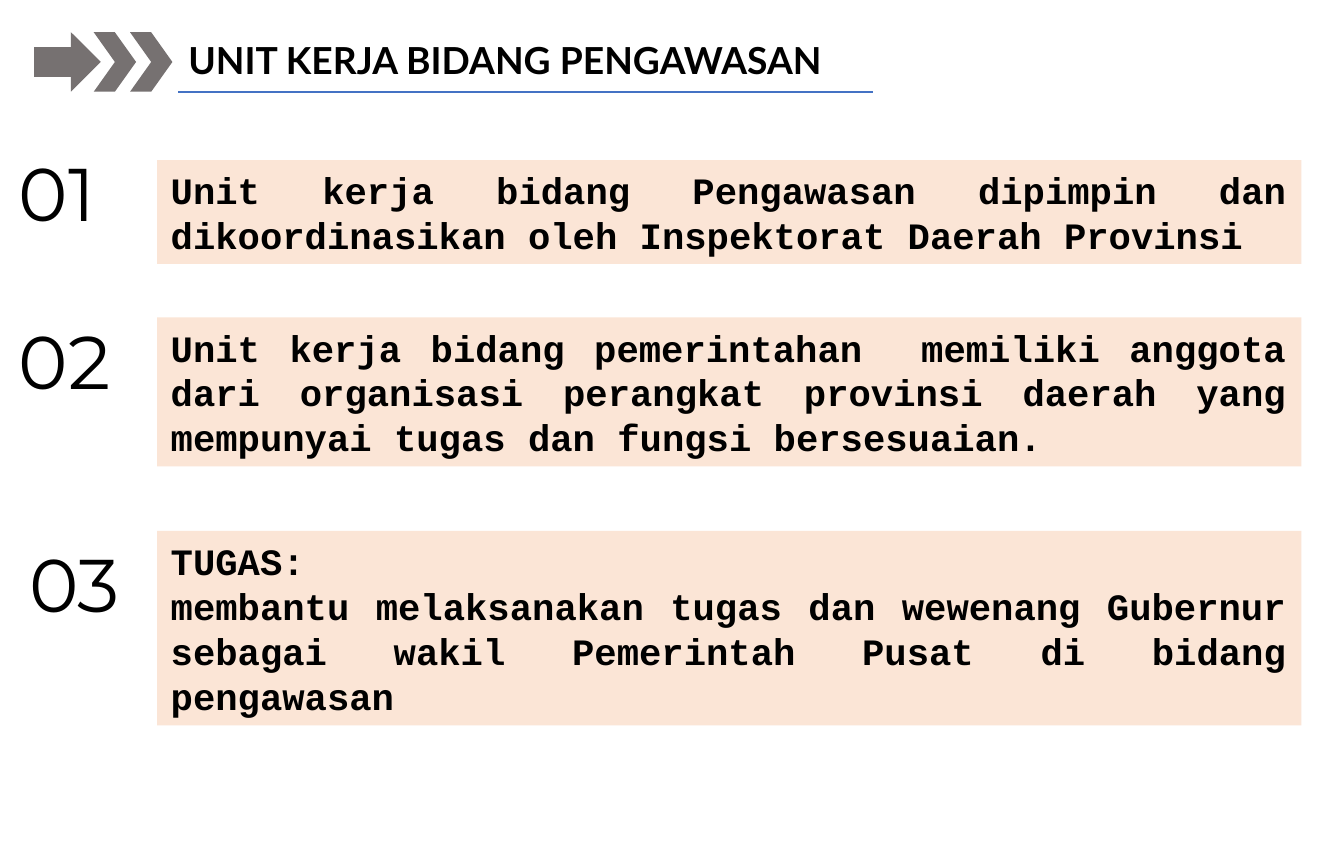
from pptx import Presentation
from pptx.dml.color import RGBColor
from pptx.enum.shapes import MSO_CONNECTOR, MSO_SHAPE
from pptx.enum.text import MSO_ANCHOR, MSO_AUTO_SIZE, PP_ALIGN
from pptx.oxml.ns import qn
from pptx.util import Inches, Pt
from lxml import etree

BLACK = RGBColor(0x00, 0x00, 0x00)
PEACH = RGBColor(0xFB, 0xE5, 0xD6)
GREY = RGBColor(0x76, 0x71, 0x71)
BLUE = RGBColor(0x44, 0x72, 0xC4)

RECTANGLE = MSO_SHAPE.RECTANGLE
RIGHT_ARROW = MSO_SHAPE.RIGHT_ARROW
CHEVRON = MSO_SHAPE.CHEVRON
STRAIGHT = MSO_CONNECTOR.STRAIGHT
TOP, MIDDLE = MSO_ANCHOR.TOP, MSO_ANCHOR.MIDDLE
LEFT, JUSTIFY = PP_ALIGN.LEFT, PP_ALIGN.JUSTIFY
FIT_SHAPE = MSO_AUTO_SIZE.SHAPE_TO_FIT_TEXT

# The page is a 10 by 6.35 inch layout enlarged by a third
SCALE = 4 / 3
PAGE_WIDTH, PAGE_HEIGHT = 10 * SCALE, 6.35 * SCALE
BODY_SIZE, NUMBER_SIZE = 26.67, 53.33
PANEL_MARGINS = (0.1 * SCALE, 0.05 * SCALE)

PANEL_LEFT, PANEL_WIDTH = 1.56, 11.35
NUMBER_WIDTH, NUMBER_HEIGHT = 1.2, 1

# Number, its left and top, panel top and height, paragraphs
POINTS = [
    ("01", 0.09, 1.41, 1.59, 1.03,
     ["Unit kerja bidang Pengawasan dipimpin dan dikoordinasikan oleh "
      "Inspektorat Daerah Provinsi"]),
    ("02", 0.09, 3.08, 3.15, 1.48,
     ["Unit kerja bidang pemerintahan  memiliki anggota dari organisasi "
      "perangkat provinsi daerah yang mempunyai tugas dan fungsi bersesuaian."]),
    ("03", 0.19, 5.29, 5.27, 1.93,
     ["TUGAS:",
      "membantu melaksanakan tugas dan wewenang Gubernur sebagai wakil "
      "Pemerintah Pusat di bidang pengawasan"]),
]


def write_text(shape, lines, font, size, bold=False, align=LEFT, anchor=TOP,
               wrap=False, margins=(0.1, 0.05)):
    frame = shape.text_frame
    frame.word_wrap = wrap
    frame.auto_size = FIT_SHAPE
    frame.vertical_anchor = anchor
    frame.margin_left = frame.margin_right = Inches(margins[0])
    frame.margin_top = frame.margin_bottom = Inches(margins[1])
    for index, line in enumerate(lines):
        para = frame.add_paragraph() if index else frame.paragraphs[0]
        para.alignment = align
        span = para.add_run()
        span.text = line
        span.font.name = font
        span.font.size = Pt(size)
        span.font.bold = bold
        span.font.color.rgb = BLACK


def add_filled_shape(shapes, kind, left, top, width, height, color):
    shape = shapes.add_shape(kind, Inches(left), Inches(top),
                             Inches(width), Inches(height))
    shape.shadow.inherit = False
    shape.fill.solid()
    shape.fill.fore_color.rgb = color
    shape.line.fill.background()
    return shape


def add_text_box(page, left, top, width, height, text, **text_format):
    box = page.shapes.add_textbox(Inches(left), Inches(top),
                                  Inches(width), Inches(height))
    write_text(box, [text], **text_format)


def add_arrow_mark(page, left, top, height):
    """Group an arrow followed by two chevrons."""
    group = page.shapes.add_group_shape()
    parts = [(RIGHT_ARROW, 0, 0.66), (CHEVRON, 0.59, 0.42), (CHEVRON, 0.95, 0.42)]
    for kind, offset, width in parts:
        add_filled_shape(group.shapes, kind, left + offset, top, width, height, GREY)


def add_heading(page, left, top, height):
    add_arrow_mark(page, left, top, height)
    title_left = left + 1.43
    add_text_box(page, title_left, top, 6.65, 0.55,
                 "UNIT KERJA BIDANG PENGAWASAN", font="Lato", size=BODY_SIZE,
                 bold=True)
    line_top = Inches(top + height)
    underline = page.shapes.add_connector(
        STRAIGHT, Inches(title_left), line_top, Inches(title_left + 6.89), line_top)
    underline.line.color.rgb = BLUE
    underline.line.width = Pt(1.5)
    etree.SubElement(underline.element.spPr, qn("a:effectLst"))


def add_point(page, number, number_left, number_top, panel_top, panel_height, lines):
    panel = add_filled_shape(page.shapes, RECTANGLE, PANEL_LEFT, panel_top,
                             PANEL_WIDTH, panel_height, PEACH)
    write_text(panel, lines, font="Courier New", size=BODY_SIZE, bold=True,
               align=JUSTIFY, anchor=MIDDLE, wrap=True, margins=PANEL_MARGINS)
    add_text_box(page, number_left, number_top, NUMBER_WIDTH, NUMBER_HEIGHT,
                 number, font="Montserrat", size=NUMBER_SIZE)


def main():
    deck = Presentation()
    deck.slide_width, deck.slide_height = Inches(PAGE_WIDTH), Inches(PAGE_HEIGHT)
    page = deck.slides.add_slide(deck.slide_layouts[6])
    for point in POINTS:
        add_point(page, *point)
    add_heading(page, left=0.34, top=0.32, height=0.59)
    deck.save("out.pptx")


if __name__ == "__main__":
    main()
